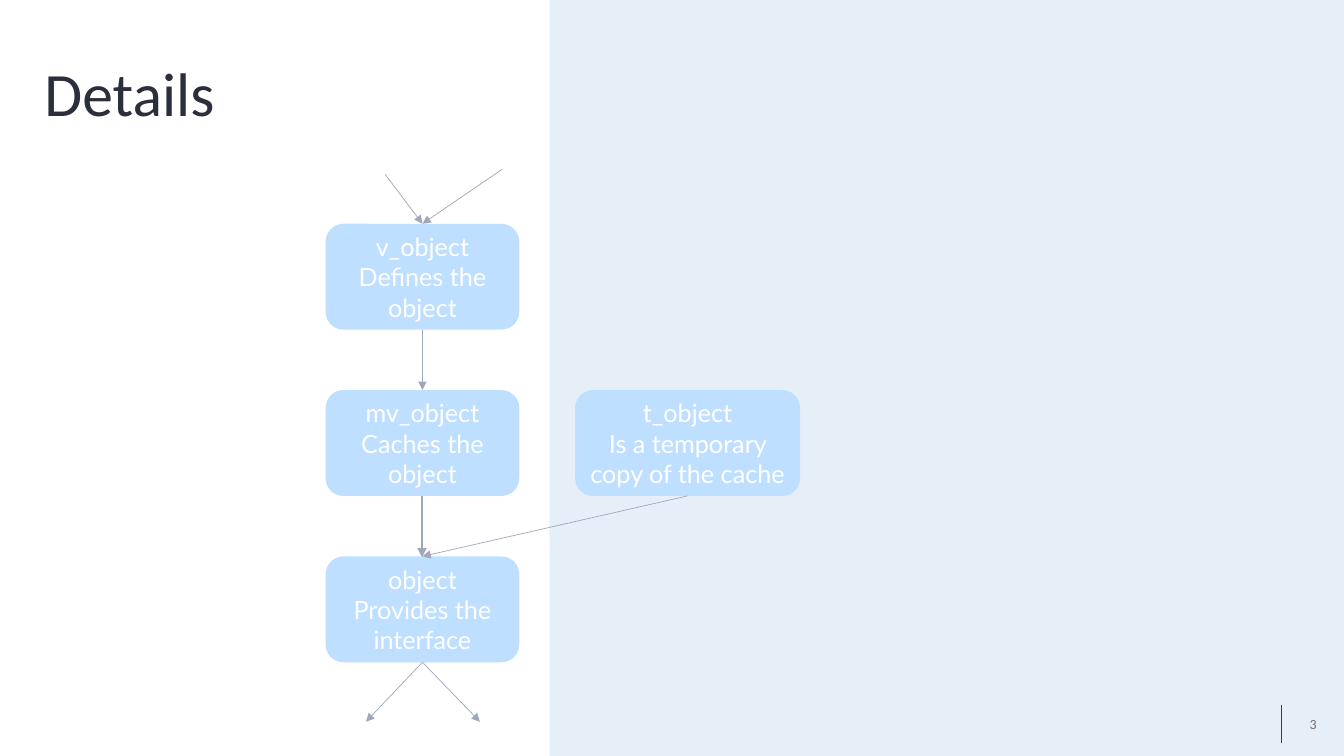
import pptx
import pptx.dml.color
import pptx.enum.shapes
import pptx.enum.text
import pptx.oxml.ns
import pptx.util
from lxml import etree

Inches = pptx.util.Inches
Pt = pptx.util.Pt
RGBColor = pptx.dml.color.RGBColor
Shape = pptx.enum.shapes.MSO_SHAPE
Align = pptx.enum.text.PP_ALIGN
qn = pptx.oxml.ns.qn

WHITE = RGBColor(0xFF, 0xFF, 0xFF)
PANEL_BLUE = RGBColor(0xE6, 0xEF, 0xF8)
BOX_BLUE = RGBColor(0xBE, 0xDF, 0xFF)
ARROW_GREY = RGBColor(0xA1, 0xA7, 0xBA)
RULE_NAVY = RGBColor(0x33, 0x3F, 0x50)
NUMBER_GREY = RGBColor(0x76, 0x71, 0x71)
TITLE_INK = RGBColor(0x2B, 0x2F, 0x3B)

BOX_HEIGHT = 1.05
ROW_TOPS = [2.22 + 1.65 * row for row in range(3)]
ROW_BOTTOMS = [top + BOX_HEIGHT for top in ROW_TOPS]
CENTER = 4.19
CACHE_COPY_CENTER = 6.82


def set_font(paragraph, name, size, color):
    """Set the typeface, size and colour of a paragraph."""
    paragraph.font.name = name
    paragraph.font.size = Pt(size)
    paragraph.font.color.rgb = color


def add_block(slide, preset, left, top, width, height, color):
    """Add a flat filled shape without outline or shadow."""
    shape = slide.shapes.add_shape(
        preset, Inches(left), Inches(top), Inches(width), Inches(height))
    shape.shadow.inherit = False
    shape.fill.solid()
    shape.fill.fore_color.rgb = color
    shape.line.fill.background()
    return shape


def add_object_box(slide, center, top, width, name, purpose):
    """Add a rounded box with an object name and its purpose."""
    shape = add_block(slide, Shape.ROUNDED_RECTANGLE, center - width / 2, top,
                      width, BOX_HEIGHT, BOX_BLUE)
    frame = shape.text_frame
    frame.word_wrap = True
    frame.vertical_anchor = pptx.enum.text.MSO_ANCHOR.MIDDLE
    frame.text = f"{name}\n{purpose}"
    for paragraph in frame.paragraphs:
        paragraph.alignment = Align.CENTER
        set_font(paragraph, "Lato", 18, WHITE)


def add_line(slide, start, end, color, arrow=False):
    """Add a thin straight line, optionally ending in an arrowhead."""
    points = [Inches(value) for value in (*start, *end)]
    connector = slide.shapes.add_connector(
        pptx.enum.shapes.MSO_CONNECTOR.STRAIGHT, *points)
    connector.line.color.rgb = color
    connector.line.width = Pt(0.5)
    if arrow:
        etree.SubElement(connector.line._get_or_add_ln(), qn("a:tailEnd"), type="triangle")
    etree.SubElement(connector._element.spPr, qn("a:effectLst"))


def add_label(slide, left, top, width, height, text, size, color, inset=0):
    """Add a middle-anchored text box and return its paragraph."""
    box = slide.shapes.add_textbox(
        Inches(left), Inches(top), Inches(width), Inches(height))
    frame = box.text_frame
    frame.word_wrap = True
    frame.vertical_anchor = pptx.enum.text.MSO_ANCHOR.MIDDLE
    frame.margin_left = frame.margin_right = frame.margin_bottom = 0
    frame.margin_top = Inches(inset)
    paragraph = frame.paragraphs[0]
    paragraph.text = text
    set_font(paragraph, "Calibri", size, color)
    return paragraph


def main():
    """Build the slide on the layers of an object and save it."""
    presentation = pptx.Presentation()
    presentation.slide_width = Inches(13.33)
    presentation.slide_height = Inches(7.5)
    slide = presentation.slides.add_slide(presentation.slide_layouts[6])

    add_block(slide, Shape.RECTANGLE, 5.45, 0, 7.88, 7.5, PANEL_BLUE)
    add_line(slide, (12.71, 7.37), (12.71, 6.99), RULE_NAVY)
    number = add_label(slide, 12.71, 6.99, 0.63, 0.38, "3", 10, NUMBER_GREY)
    number.alignment = Align.CENTER
    title = add_label(slide, 0.44, 0.52, 4.55, 0.77, "Details", 44, TITLE_INK, 0.12)
    title.line_spacing = 0.85
    title.space_before = Pt(10)
    title.space_after = Pt(6)

    layers = [("v_object", "Defines the object"),
              ("mv_object", "Caches the object"),
              ("object", "Provides the interface")]
    for top, (name, purpose) in zip(ROW_TOPS, layers):
        add_object_box(slide, CENTER, top, 1.92, name, purpose)
    add_object_box(slide, CACHE_COPY_CENTER, ROW_TOPS[1], 2.23,
                   "t_object", "Is a temporary copy of the cache")

    arrows = [((3.82, 1.73), (CENTER, ROW_TOPS[0])),
              ((4.98, 1.68), (CENTER, ROW_TOPS[0])),
              ((CENTER, ROW_BOTTOMS[0]), (CENTER, ROW_TOPS[1])),
              ((CENTER, ROW_BOTTOMS[1]), (CENTER, ROW_TOPS[2])),
              ((4.18, ROW_BOTTOMS[1]), (4.18, ROW_TOPS[2])),
              ((CACHE_COPY_CENTER, ROW_BOTTOMS[1]), (CENTER, ROW_TOPS[2])),
              ((CENTER, ROW_BOTTOMS[2]), (4.76, 7.16)),
              ((CENTER, ROW_BOTTOMS[2]), (3.63, 7.16))]
    for start, end in arrows:
        add_line(slide, start, end, ARROW_GREY, arrow=True)

    presentation.save("out.pptx")


main()
